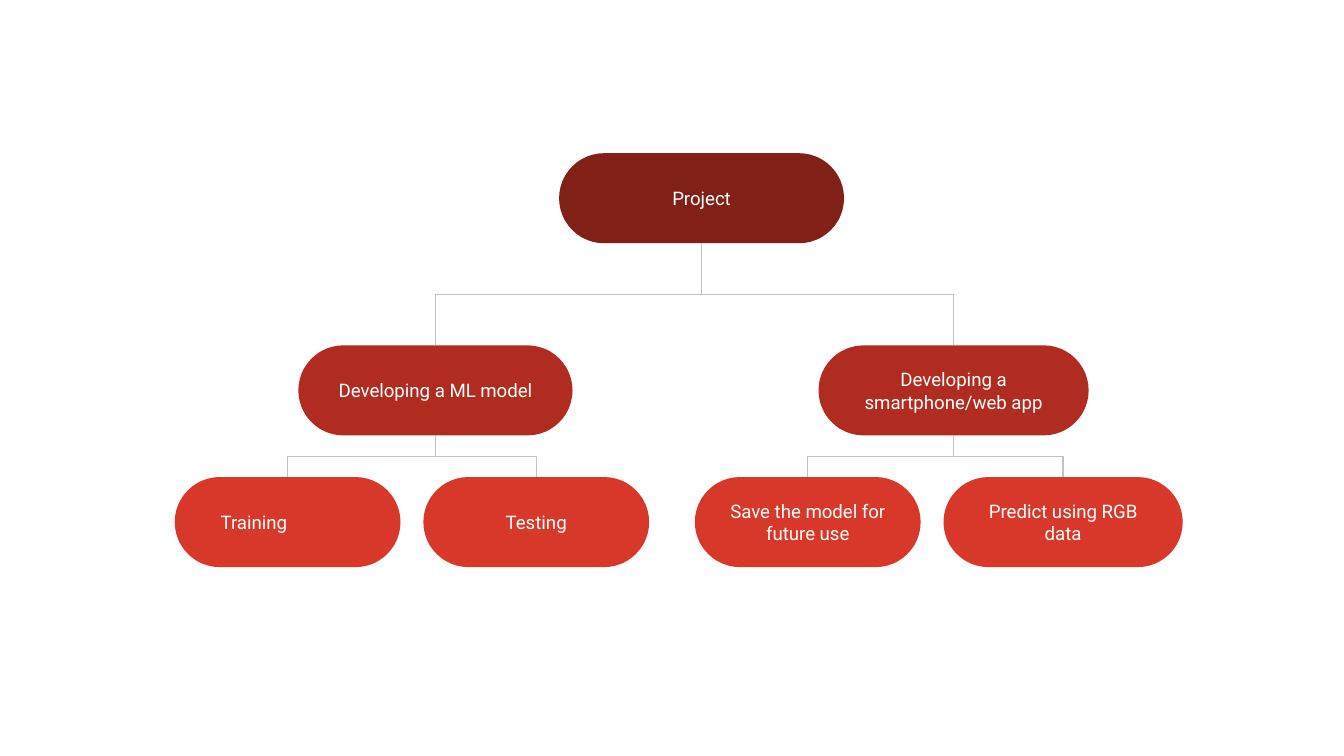
from dataclasses import dataclass

from pptx import Presentation
from pptx import util as u
from pptx.dml.color import RGBColor
from pptx.enum import shapes, text
from pptx.oxml import ns
from pptx.oxml.xmlchemy import OxmlElement


@dataclass
class Theme:
    font: str = "Roboto"
    size: float = 10
    ink: str = "FFFFFF"
    line: str = "C2C2C2"
    weight: float = 0.75
    levels: tuple = ("802017", "B02C20", "D83829")


TOPS = (1.14, 2.57, 3.55)
HIGH = 0.67
PAD = 0.1
TOP, BOTTOM = 0, 2  # connection sites of a rounded rectangle


class Chart:
    def __init__(self, slide, theme):
        self.slide = slide
        self.theme = theme

    def node(self, label, level, left, width, right=PAD):
        """Add a pill; right is its right text inset, in inches."""
        pill = self.slide.shapes.add_shape(
            shapes.MSO_SHAPE.ROUNDED_RECTANGLE,
            u.Inches(left), u.Inches(TOPS[level]),
            u.Inches(width), u.Inches(HIGH))
        pill.adjustments[0] = 0.5
        pill.shadow.inherit = False
        pill.fill.solid()
        pill.fill.fore_color.rgb = RGBColor.from_string(self.theme.levels[level])
        pill.line.fill.background()

        frame = pill.text_frame
        frame.word_wrap = True
        frame.vertical_anchor = text.MSO_ANCHOR.MIDDLE
        frame.margin_left = frame.margin_top = frame.margin_bottom = u.Inches(PAD)
        frame.margin_right = u.Inches(right)
        para = frame.paragraphs[0]
        para.alignment = text.PP_ALIGN.CENTER
        run = para.add_run()
        run.text = label
        run.font.name = self.theme.font
        run.font.size = u.Pt(self.theme.size)
        run.font.color.rgb = RGBColor.from_string(self.theme.ink)
        return pill

    def link(self, boss, child):
        """Glue an elbow that leaves boss downwards and enters child from above."""
        x1, y1 = boss.left + boss.width // 2, boss.top + boss.height
        x2, y2 = child.left + child.width // 2, child.top
        ahead = x2 > x1
        elbow = self.slide.shapes.add_connector(
            shapes.MSO_CONNECTOR.ELBOW, x1, y1, x2, y2)
        ends = [(boss, BOTTOM), (child, TOP)]
        if not ahead:
            ends.reverse()
        elbow.begin_connect(*ends[0])
        elbow.end_connect(*ends[1])

        # A quarter turn makes the elbow run down, across, down.
        wide, high = y2 - y1, abs(x2 - x1)
        elbow.left, elbow.top = (x1 + x2 - wide) // 2, (y1 + y2 - high) // 2
        elbow.width, elbow.height = wide, high
        props = elbow._element.spPr
        frame = props.find(ns.qn("a:xfrm"))
        frame.set("rot", str(270 * 60000))
        frame.set("flipH", str(int(ahead)))
        frame.set("flipV", "0")

        elbow.line.color.rgb = RGBColor.from_string(self.theme.line)
        elbow.line.width = u.Pt(self.theme.weight)
        props.append(OxmlElement("a:effectLst"))


def main():
    deck = Presentation()
    deck.slide_width = u.Inches(10)
    deck.slide_height = deck.slide_width * 9 // 16
    chart = Chart(deck.slides.add_slide(deck.slide_layouts[6]), Theme())

    root = chart.node("Project", 0, 4.16, 2.12)
    app = chart.node("Developing a smartphone/web app", 1, 6.09, 2.01)
    model = chart.node("Developing a ML model", 1, 2.22, 2.04)
    train = chart.node("Training", 2, 1.3, 1.68, right=0.6)
    test = chart.node("Testing", 2, 3.15, 1.68)
    save = chart.node("Save the model for future use", 2, 5.17, 1.68)
    guess = chart.node("Predict using RGB data", 2, 7.02, 1.78)

    tree = ((root, (app, model)), (model, (test, train)), (app, (guess, save)))
    for boss, team in tree:
        for child in team:
            chart.link(boss, child)

    deck.save("out.pptx")


if __name__ == "__main__":
    main()
